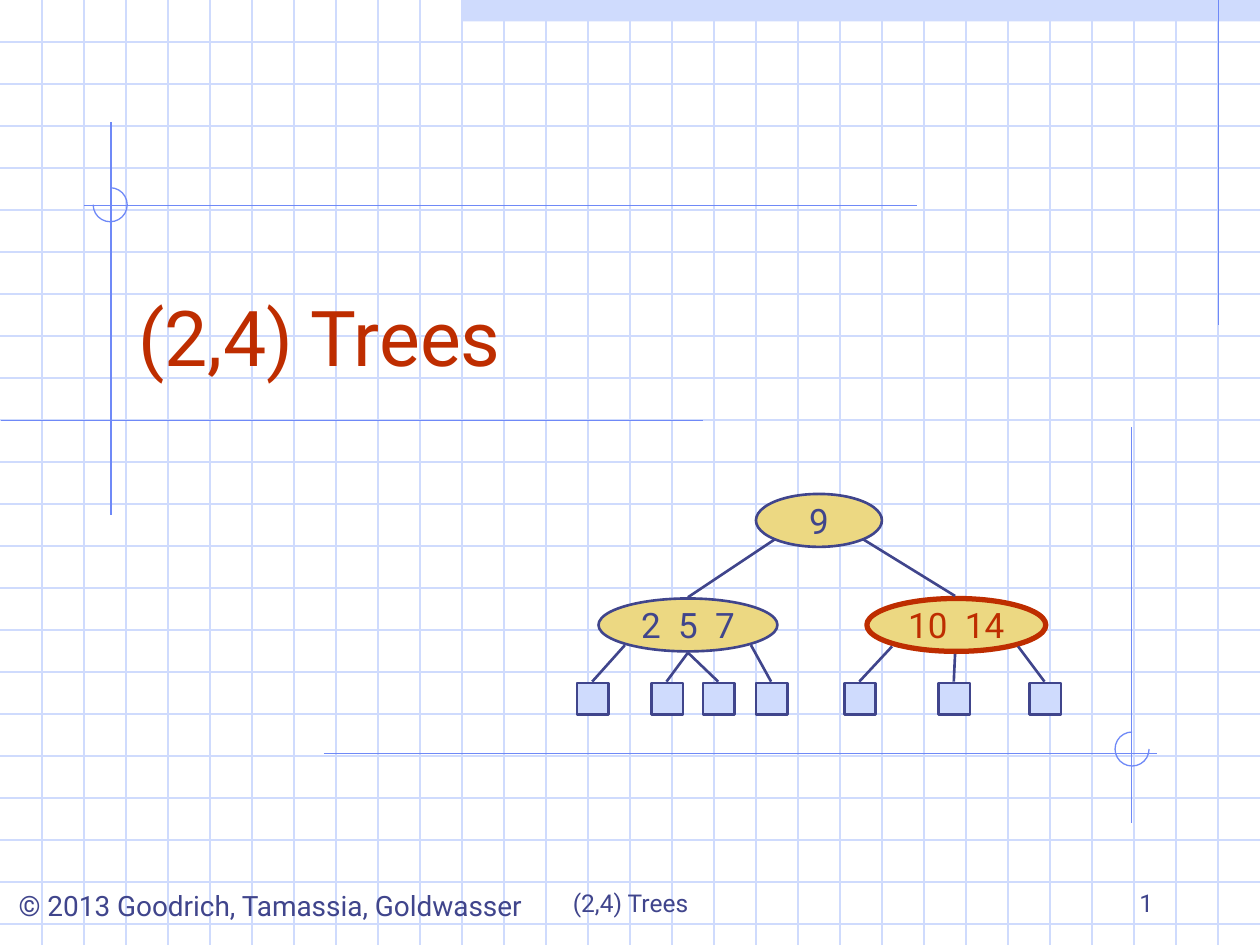
from lxml import etree
from pptx import Presentation
from pptx.dml.color import RGBColor
from pptx.enum.shapes import MSO_CONNECTOR, MSO_SHAPE
from pptx.enum.text import MSO_ANCHOR, PP_ALIGN
from pptx.oxml.ns import qn
from pptx.util import Inches, Pt

WIDTH, HEIGHT = 10, 7.5
PALE, BLUE, NAVY, RED, SAND = "CFDBFD", "6F89F7", "40458C", "BE2D00", "ECD882"


def color(value):
    """Turn a hex string into a colour."""
    return RGBColor.from_string(value)


class Sketch:
    """Holds the style and the current slide."""

    font = "Roboto"

    def __init__(self, page):
        """Keep the slide to draw on."""
        self.page = page

    def line(self, start, end, stroke, weight):
        """Draw a straight line between two points."""
        line = self.page.shapes.add_connector(
            MSO_CONNECTOR.STRAIGHT, *[Inches(value) for value in (*start, *end)])
        line.line.color.rgb = color(stroke)
        line.line.width = Pt(weight)
        etree.SubElement(line._element.spPr, qn("a:effectLst"))

    def shape(self, kind, place, fill=None, stroke=None, weight=1.5):
        """Draw a preset shape with optional fill and outline."""
        shape = self.page.shapes.add_shape(kind, *[Inches(value) for value in place])
        shape.shadow.inherit = False
        if fill:
            shape.fill.solid()
            shape.fill.fore_color.rgb = color(fill)
        else:
            shape.fill.background()
        if stroke:
            shape.line.color.rgb = color(stroke)
            shape.line.width = Pt(weight)
        else:
            shape.line.fill.background()
        return shape

    def arc(self, place, start, end):
        """Draw an open arc clockwise between two angles in degrees."""
        arc = self.shape(MSO_SHAPE.ARC, place, stroke=BLUE, weight=0.74)
        for index, angle in enumerate((start, end)):
            arc.adjustments[index] = angle * 0.6

    def label(self, shape, words, size, ink, align, anchor, wrap):
        """Put one line of text into a shape."""
        frame = shape.text_frame
        frame.word_wrap = wrap
        frame.vertical_anchor = anchor
        para = frame.paragraphs[0]
        para.alignment = align
        span = para.add_run()
        span.text = words
        span.font.name = self.font
        span.font.size = Pt(size)
        span.font.color.rgb = color(ink)

    def text(self, place, words, size, ink=NAVY, align=PP_ALIGN.CENTER,
             anchor=MSO_ANCHOR.BOTTOM, wrap=True):
        """Add a text box."""
        box = self.page.shapes.add_textbox(*[Inches(value) for value in place])
        self.label(box, words, size, ink, align, anchor, wrap)

    def node(self, left, top, width, keys, ink=NAVY, weight=1.5):
        """Draw a tree node with its keys."""
        node = self.shape(MSO_SHAPE.OVAL, (left, top, width, 0.42), SAND, ink, weight)
        self.label(node, keys, 20, ink, PP_ALIGN.CENTER, MSO_ANCHOR.MIDDLE, False)

    def leaf(self, left, joint):
        """Draw an external node and the edge up to its parent."""
        self.shape(MSO_SHAPE.RECTANGLE, (left, 5.42, 0.25, 0.25), PALE, NAVY)
        self.line((left + 0.12, 5.41), joint, NAVY, 1.5)


deck = Presentation()
deck.slide_width, deck.slide_height = Inches(WIDTH), Inches(HEIGHT)
sketch = Sketch(deck.slides.add_slide(deck.slide_layouts[6]))

# Graph paper
sketch.shape(MSO_SHAPE.RECTANGLE, (3.67, 0, 6.33, 0.17), PALE)
for step in range(1, 23):
    sketch.line((0, step / 3), (WIDTH, step / 3), PALE, 0.74)
for step in range(1, 30):
    sketch.line((step / 3, 0), (step / 3, HEIGHT), PALE, 0.74)

# Drafting lines
for start, end in [
    ((9.67, 0), (9.67, 2.58)),
    ((0.88, 0.97), (0.88, 4.09)),
    ((0.01, 3.34), (5.58, 3.34)),
    ((0.67, 1.63), (7.28, 1.63)),
    ((2.57, 5.98), (9.18, 5.98)),
    ((8.98, 3.39), (8.98, 6.53)),
]:
    sketch.line(start, end, BLUE, 0.74)
sketch.arc((0.74, 1.49, 0.27, 0.27), 270, 180)
sketch.arc((8.85, 5.81, 0.27, 0.27), 0, 270)

# Title and footer
sketch.text((-0.05, 7, 4.39, 0.37), "© 2013 Goodrich, Tamassia, Goldwasser", 16,
            anchor=MSO_ANCHOR.TOP, wrap=False)
sketch.text((3.42, 6.83, 3.17, 0.5), "(2,4) Trees", 14)
sketch.text((7.17, 6.83, 2.08, 0.5), "1", 14, align=PP_ALIGN.RIGHT)
sketch.text((1, 1.83, 8.5, 1.25), "(2,4) Trees", 44, RED, PP_ALIGN.LEFT)

# Tree
sketch.node(6, 3.92, 1, "9")
sketch.node(6.88, 4.75, 1.42, "10  14", RED, 3)
sketch.node(4.75, 4.75, 1.42, "2  5  7")
sketch.line((5.46, 4.74), (6.15, 4.28), NAVY, 1.5)
sketch.line((7.58, 4.73), (6.85, 4.28), NAVY, 1.5)
for left, joint in [
    (4.58, (4.96, 5.12)),
    (5.17, (5.46, 5.18)),
    (5.58, (5.46, 5.18)),
    (6, (5.96, 5.12)),
    (6.7, (7.08, 5.13)),
    (7.45, (7.58, 5.19)),
    (8.17, (8.08, 5.13)),
]:
    sketch.leaf(left, joint)

deck.save("out.pptx")
